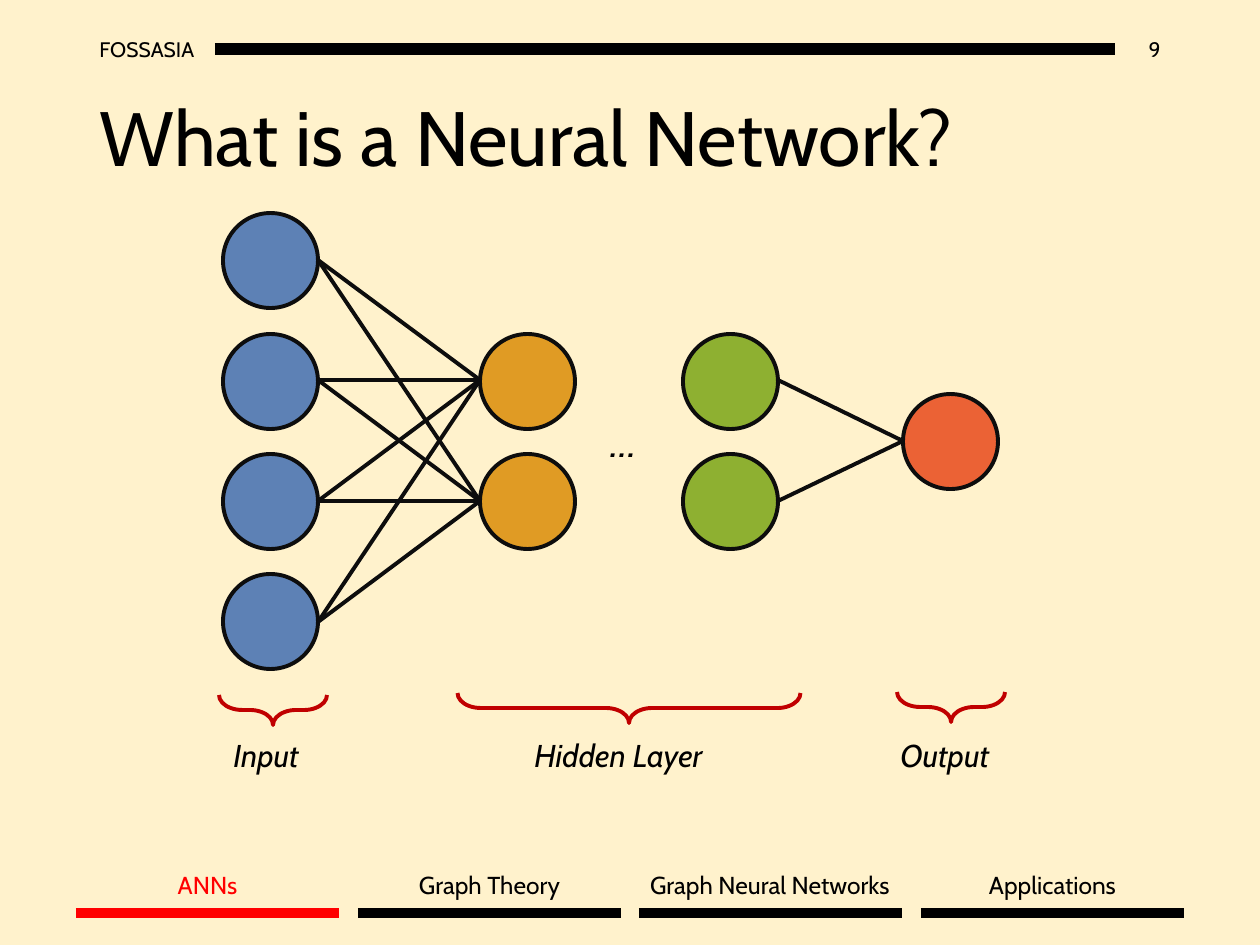
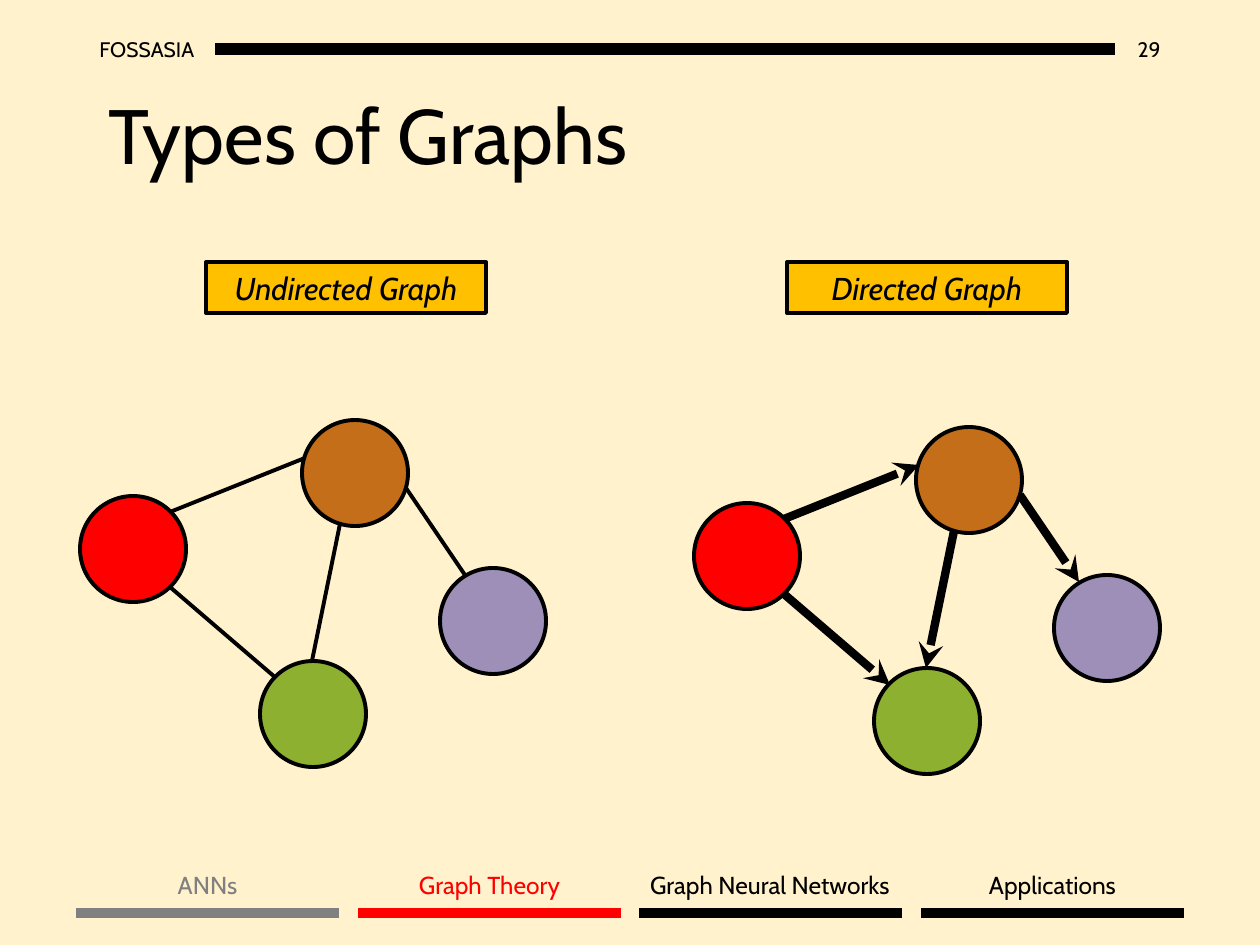
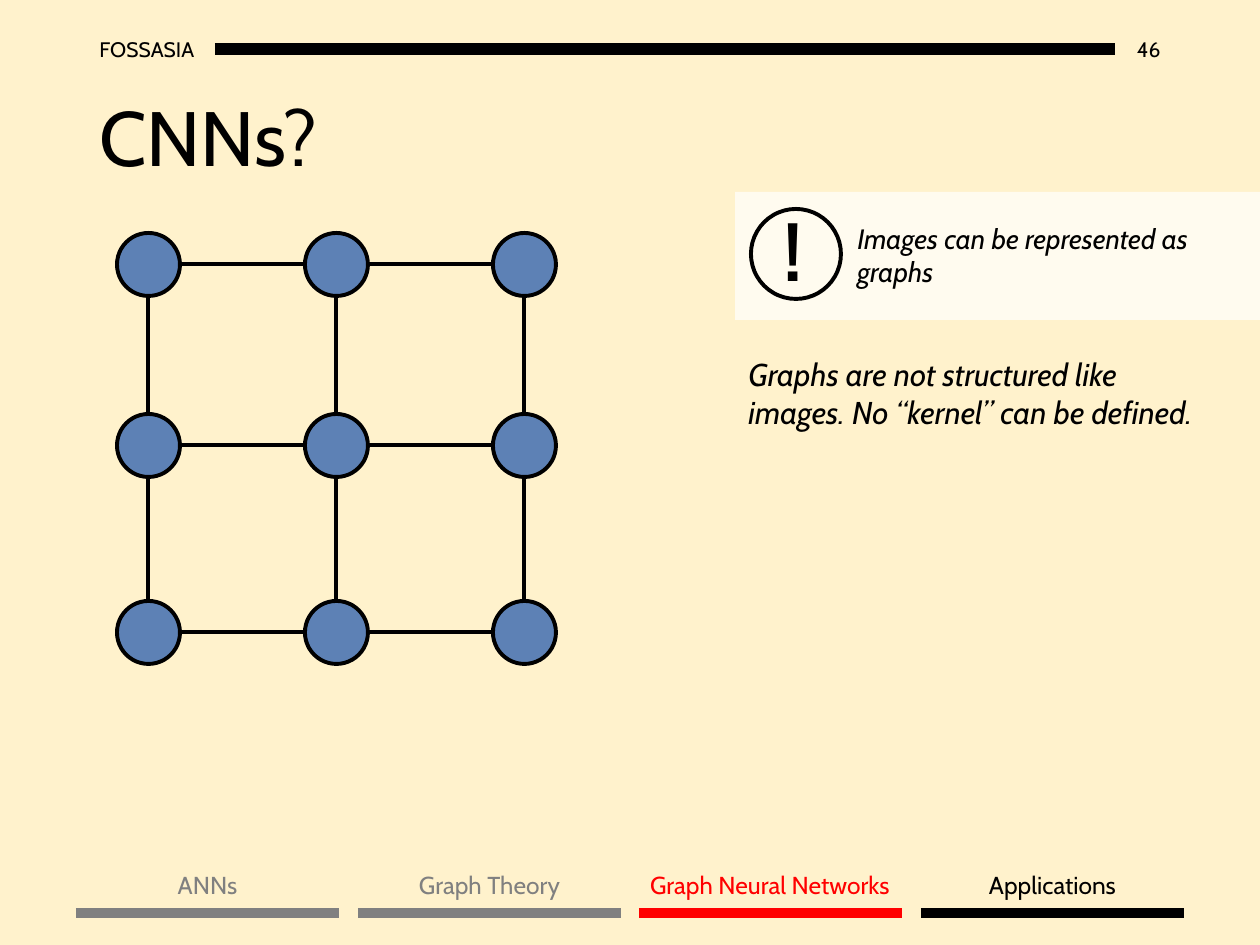
from itertools import product

from pptx import Presentation
from pptx.dml.color import RGBColor
from pptx.enum.shapes import MSO_CONNECTOR, MSO_SHAPE
from pptx.enum.text import MSO_ANCHOR, PP_ALIGN
from pptx.oxml.ns import qn
from pptx.util import Inches, Pt
from lxml import etree

OVAL, RECT, BRACE = MSO_SHAPE.OVAL, MSO_SHAPE.RECTANGLE, MSO_SHAPE.RIGHT_BRACE
LEFT, CENTER, RIGHT = PP_ALIGN.LEFT, PP_ALIGN.CENTER, PP_ALIGN.RIGHT
TOP, MIDDLE = MSO_ANCHOR.TOP, MSO_ANCHOR.MIDDLE
STRAIGHT = MSO_CONNECTOR.STRAIGHT

PX = 914400 / 126
FONT = "Cabin"
COLORS = {
    "page": "FFF2CC", "black": "000000", "ink": "0D0D0D", "white": "FFFFFF",
    "active": "FF0000", "done": "808080", "brace": "C00000", "label": "FFC000",
    "blue": "5D81B5", "orange": "E09B24", "green": "8EB031", "coral": "EB6235",
    "purple": "9D8FB7", "brown": "C46E1A", "red": "FF0000",
}
RGB = {name: RGBColor.from_string(value) for name, value in COLORS.items()}


def add(s, x, y, w, h, text="", kind=None, fill=None, line=None, size=18, color="black",
        bold=False, italic=False, align=LEFT, anchor=TOP, wrap=True, spacing=None):
    """Add a preset shape, or a text box when kind is None; lengths in px."""
    box = [round(v * PX) for v in (x, y, w, h)]
    if kind is None:
        sp = s.shapes.add_textbox(*box)
    else:
        sp = s.shapes.add_shape(kind, *box)
        sp.shadow.inherit = False
        if fill:
            sp.fill.solid()
            sp.fill.fore_color.rgb = RGB[fill]
        else:
            sp.fill.background()
        if line:
            sp.line.color.rgb = RGB[line]
            sp.line.width = Pt(2.25)
        else:
            sp.line.fill.background()
    if text:
        tf = sp.text_frame
        tf.word_wrap = wrap
        tf.vertical_anchor = anchor
        p = tf.paragraphs[0]
        p.alignment = align
        if spacing:
            p.line_spacing = spacing
        r = p.add_run()
        r.text = text
        r.font.name, r.font.size = FONT, Pt(size)
        r.font.bold, r.font.italic = bold, italic
        r.font.color.rgb = RGB[color]
    return sp


def add_line(s, x1, y1, x2, y2, color="black", width=2.25, arrow=False):
    c = s.shapes.add_connector(STRAIGHT, *[round(v * PX) for v in (x1, y1, x2, y2)])
    c.line.color.rgb = RGB[color]
    c.line.width = Pt(width)
    spPr = c._element.spPr
    if arrow:
        etree.SubElement(spPr.find(qn("a:ln")), qn("a:tailEnd"), type="stealth")
    etree.SubElement(spPr, qn("a:effectLst"))


prs = Presentation()
prs.slide_width, prs.slide_height = Inches(10), Inches(7.5)
background = prs.slide_master.background.fill
background.solid()
background.fore_color.rgb = RGB["page"]

# Shared frame: header, title and section bar
SECTIONS = [("ANNs", 87), ("Graph Theory", 173), ("Graph Neural Networks", 276),
            ("Applications", 155)]
BAR_W = 263
pages = [("9", "What is a Neural Network?", 87, 50, 0),
         ("29", "Types of Graphs", 96, 48, 1),
         ("46", "CNNs?", 87, 50, 2)]
slides = []
for number, title, title_x, title_y, active in pages:
    s = prs.slides.add_slide(prs.slide_layouts[6])
    slides.append(s)
    add(s, 1115, 24, 58, 50, number, size=12, align=RIGHT, anchor=MIDDLE)
    add(s, 87, 24, 128, 50, "FOSSASIA", size=12, anchor=MIDDLE)
    add_line(s, 215, 49, 1115, 49, width=7)
    add(s, title_x, title_y, 1086, 183, title, size=44, anchor=MIDDLE, spacing=0.9)
    for i, (name, w) in enumerate(SECTIONS):
        x = 76 + round(i * 845 / 3)
        color = "done" if i < active else "active" if i == active else "black"
        add(s, x + (BAR_W - w) // 2, 864, w, 43, name, size=14, color=color,
            align=CENTER, wrap=False)
        add_line(s, x, 913, x + BAR_W, 913, color=color, width=6)
network, graph_types, cnns = slides

# Neural network: each layer is a column of neurons
NEURON, ROW_H = 95, 120.5
layers = [(223, "blue", [0, 1, 2, 3]), (480, "orange", [1, 2]),
          (683, "green", [1, 2]), (903, "coral", [1.5])]
for x, color, rows in layers:
    for row in rows:
        add(network, x, round(213 + row * ROW_H), NEURON, NEURON, kind=OVAL,
            fill=color, line="ink")
for (x1, _, rows1), (x2, _, rows2) in (layers[:2], layers[2:]):
    for a, b in product(rows1, rows2):
        add_line(network, x1 + NEURON, round(260 + a * ROW_H),
                 x2, round(260 + b * ROW_H), color="ink")
add(network, 598, 409, 60, 63, "…", size=24, italic=True, wrap=False)

BRACE_D = 30
for name, x, w, center_x, center_y, span in [
        ("Input", 221, 101, 273, 710, 108),
        ("Hidden Layer", 522, 214, 629, 708, 343),
        ("Output", 888, 126, 951, 707, 108)]:
    sp = add(network, center_x - BRACE_D / 2, center_y - span / 2, BRACE_D, span,
             kind=BRACE, line="brace")
    sp.rotation = 90
    sp.adjustments[0] = 0.77
    add(network, x, 730, w, 50, name, italic=True, wrap=False)

# Types of graphs: the same graph drawn twice, the second one with arrows
NODE = 106
nodes = [(260, 661, "green"), (440, 568, "purple"), (80, 496, "red"), (302, 420, "brown")]
edges = [(340, 524, 312, 661), (170, 587, 276, 678),
         (170, 512, 305, 458), (406, 488, 465, 575)]
for name, label_x, dx, dy, directed in [("Undirected Graph", 206, 0, 0, False),
                                        ("Directed Graph", 787, 614, 7, True)]:
    for x, y, color in nodes:
        add(graph_types, x + dx, y + dy, NODE, NODE, kind=OVAL, fill=color, line="black")
    for x1, y1, x2, y2 in edges:
        add_line(graph_types, x1 + dx, y1 + dy, x2 + dx, y2 + dy,
                 width=4.75 if directed else 2.25, arrow=directed)
    add(graph_types, label_x, 262, 280, 51, name, kind=RECT, fill="label", line="black",
        italic=True, align=CENTER, anchor=MIDDLE)

# CNNs: pixel grid on the left, callout on the right
PIXEL = 63
HALF = PIXEL // 2
xs = [117 + 188 * i for i in range(3)]
ys = [233, 414, 601]
for x, y in product(xs, ys):
    add(cnns, x, y, PIXEL, PIXEL, kind=OVAL, fill="blue", line="black")
for y in ys:
    for x1, x2 in zip(xs, xs[1:]):
        add_line(cnns, x1 + PIXEL, y + HALF, x2, y + HALF)
for x in xs:
    for y1, y2 in zip(ys, ys[1:]):
        add_line(cnns, x + HALF, y1 + PIXEL, x + HALF, y2)

callout = add(cnns, 735, 192, 525, 128, kind=RECT, fill="white")
etree.SubElement(callout._element.spPr.find(".//" + qn("a:srgbClr")), qn("a:alpha"),
                 val="70000")
add(cnns, 845, 215, 403, 81, "Images can be represented as graphs", size=16, italic=True)
add(cnns, 751, 209, 90, 90, kind=OVAL, line="black")
add(cnns, 771, 198, 48, 106, "!", size=44, bold=True, wrap=False)
add(cnns, 736, 349, 484, 127,
    "Graphs are not structured like images. No “kernel” can be defined.", italic=True)

prs.save("out.pptx")
